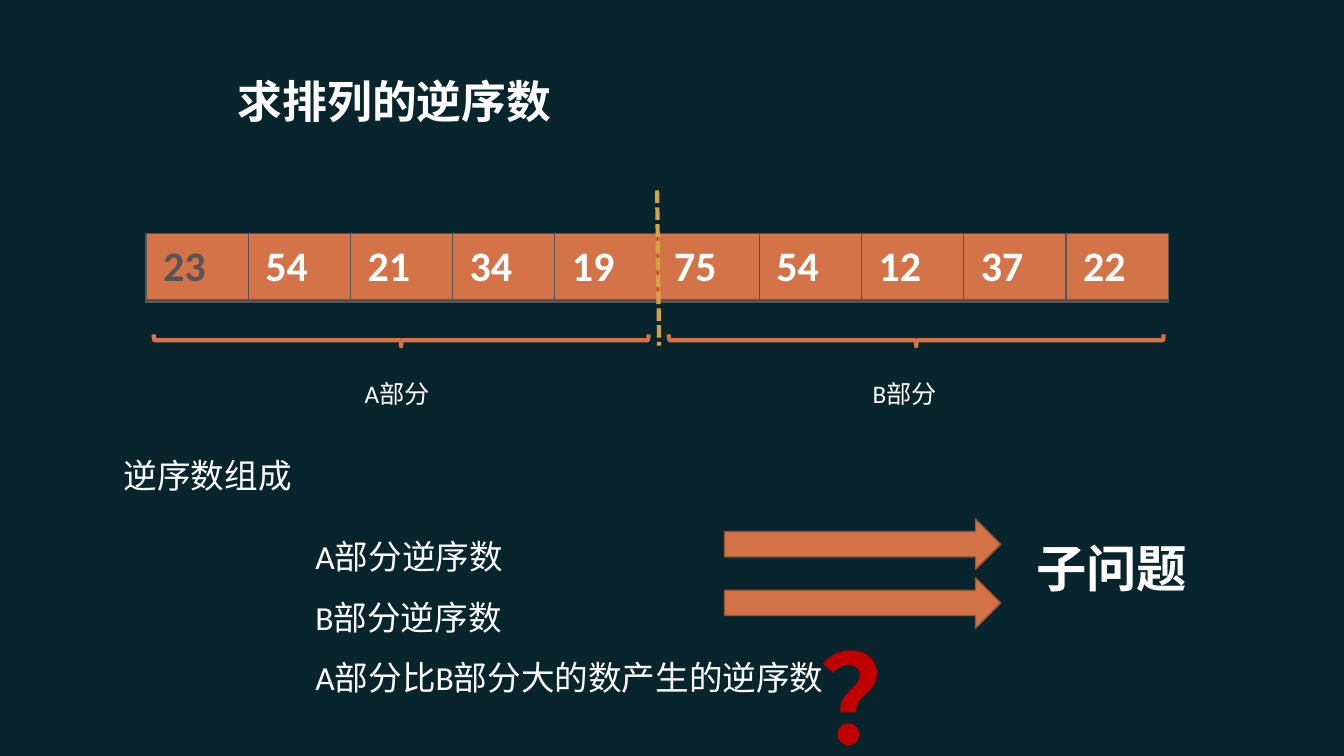
from lxml.etree import SubElement
from pptx import Presentation
from pptx.dml.color import RGBColor
from pptx.enum.dml import MSO_LINE as Dash
from pptx.enum.shapes import MSO_CONNECTOR as Link, MSO_SHAPE as Kind
from pptx.enum.text import MSO_ANCHOR as Anchor
from pptx.oxml import parse_xml
from pptx.oxml.ns import nsdecls, qn
from pptx.util import Cm, Pt

NIGHT = RGBColor(0x08, 0x25, 0x2D)
WHITE = RGBColor(0xFF, 0xFF, 0xFF)
GREY = RGBColor(0x55, 0x55, 0x55)
ORANGE = RGBColor(0xD4, 0x73, 0x48)
BROWN = RGBColor(0x9D, 0x55, 0x35)
GOLD = RGBColor(0xD4, 0xA4, 0x44)
RED = RGBColor(0xC0, 0x00, 0x00)


class Board:
    font = "Calibri"

    def __init__(self, slide):
        self.slide = slide
        self.shapes = slide.shapes
        fill = slide.background.fill
        fill.solid()
        fill.fore_color.rgb = NIGHT

    def add_run(self, para, text, size, color=WHITE, bold=False, font=None):
        run = para.add_run()
        run.text = text
        style = run.font
        style.name = font or self.font
        style.size = Pt(size)
        style.bold = bold
        style.color.rgb = color

    def text(self, box, lines, size, space=None, anchor=Anchor.TOP, **look):
        frame = self.shapes.add_textbox(*map(Cm, box)).text_frame
        frame.word_wrap = True
        frame.vertical_anchor = anchor
        for i, line in enumerate(lines):
            para = frame.add_paragraph() if i else frame.paragraphs[0]
            para.line_spacing = space
            self.add_run(para, line, size, **look)

    def edge(self, cell, side, width):
        """Draw one border of a table cell."""
        props = cell._tc.get_or_add_tcPr()
        line = SubElement(props, qn(f"a:ln{side}"), w=str(Pt(width)))
        paint = SubElement(line, qn("a:solidFill"))
        SubElement(paint, qn("a:srgbClr"), val=str(GREY))

    def row(self, box, values):
        """Draw the numbers as a one-row table, the first one in grey."""
        table = self.shapes.add_table(1, len(values), *map(Cm, box)).table
        table.first_row = table.horz_banding = False
        for i, value in enumerate(values):
            cell = table.cell(0, i)
            cell.margin_left = cell.margin_right = Cm(0.43)
            cell.margin_top = cell.margin_bottom = Cm(0.2)
            for side, width in zip("LRTB", (1, 1, 1, 3)):
                self.edge(cell, side, width)
            cell.fill.solid()
            cell.fill.fore_color.rgb = ORANGE
            para = cell.text_frame.paragraphs[0]
            self.add_run(para, str(value), 30, WHITE if i else GREY, True)

    def dash(self, start, end):
        line = self.shapes.add_connector(Link.STRAIGHT, *map(Cm, start + end))
        line.line.color.rgb = GOLD
        line.line.width = Pt(3)
        line.line.dash_style = Dash.SQUARE_DOT
        line._element.spPr.append(parse_xml(f"<a:effectLst {nsdecls('a')}/>"))

    def shape(self, kind, box, color, width):
        shape = self.shapes.add_shape(kind, *map(Cm, box))
        shape.shadow.inherit = False
        shape.line.color.rgb = color
        shape.line.width = Pt(width)
        return shape

    def brace(self, left, top):
        shape = self.shape(Kind.LEFT_BRACE, (left, top, 0.3, 12.47), ORANGE, 3)
        shape.fill.background()
        shape.rotation = 270

    def arrow(self, left, top):
        box = (left, top, 6.96, 1.27)
        shape = self.shape(Kind.RIGHT_ARROW, box, BROWN, 1)
        shape.fill.solid()
        shape.fill.fore_color.rgb = ORANGE


def main():
    deck = Presentation()
    deck.slide_width, deck.slide_height = Cm(33.87), Cm(19.05)
    board = Board(deck.slides.add_slide(deck.slide_layouts[6]))

    board.text((5.74, 1.52, 20.19, 2.01), ["求排列的逆序数"], 32,
               anchor=Anchor.MIDDLE, bold=True, font="Roboto")
    board.row((3.68, 5.89, 25.76, 1.7),
              (23, 54, 21, 34, 19, 75, 54, 12, 37, 22))
    board.dash((16.56, 4.8), (16.61, 8.71))
    board.text((2.87, 11.33, 5.05, 1.27), ["逆序数组成"], 24)

    for name, brace, label in (("A", 9.96, 8.94), ("B", 22.94, 21.74)):
        board.brace(brace, 2.34)
        board.text((label, 9.4, 2.6, 1.02), [f"{name}部分"], 18)

    board.text((7.7, 12.88, 14.78, 4.7),
               ["A部分逆序数", "B部分逆序数", "A部分比B部分大的数产生的逆序数"],
               24, space=1.5)
    for top in (13.08, 14.56):
        board.arrow(18.26, top)
    board.text((25.86, 13.41, 5.11, 1.8), ["子问题"], 36, bold=True)
    board.text((20.4, 15.54, 3.45, 4.01), ["？"], 88, color=RED, bold=True)
    deck.save("out.pptx")


if __name__ == "__main__":
    main()
